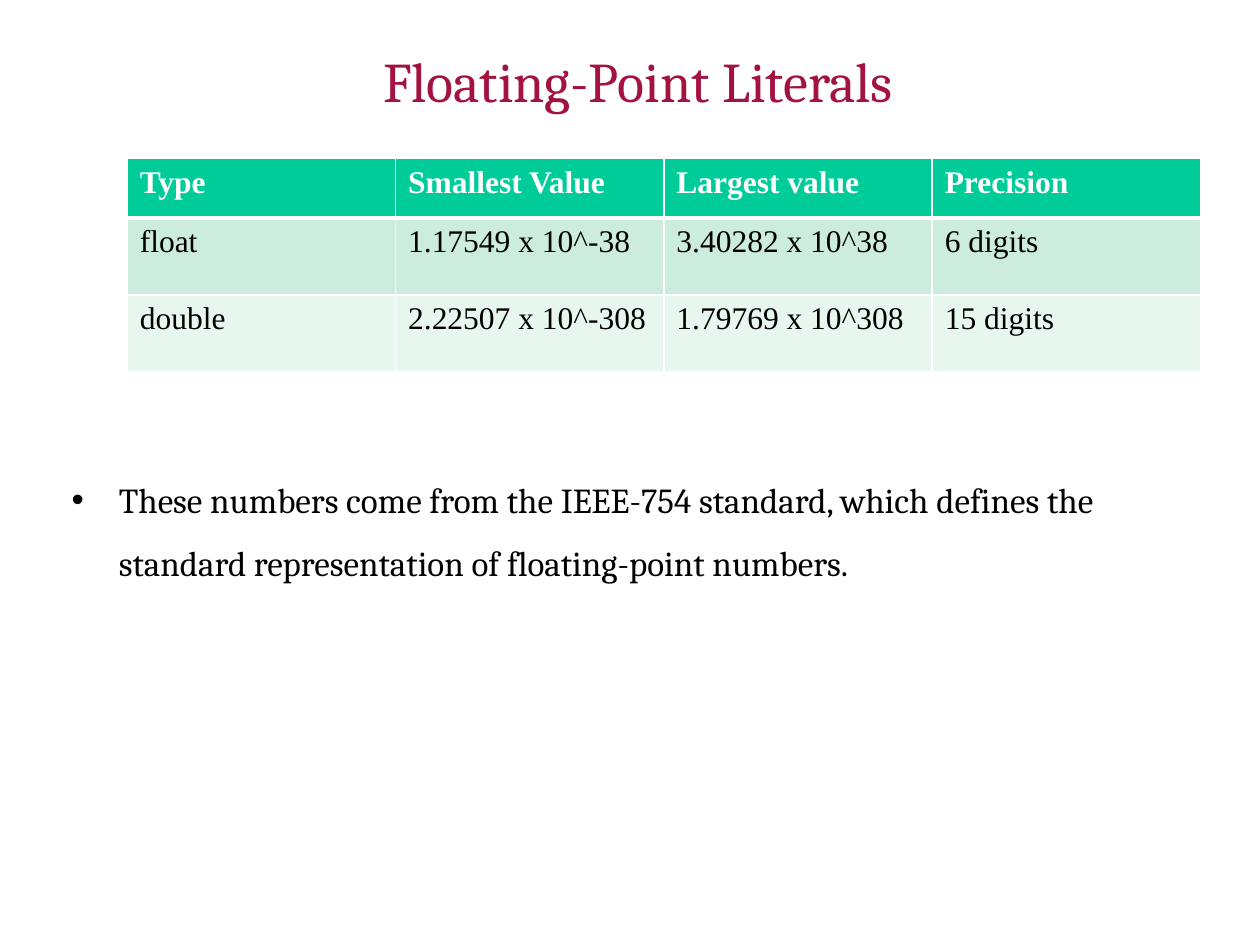
from lxml import etree
from pptx import Presentation
from pptx.dml.color import RGBColor
from pptx.enum.text import MSO_ANCHOR, PP_ALIGN
from pptx.oxml.ns import qn
from pptx.util import Pt

COLORS = {"title": "A4123F", "text": "000000", "white": "FFFFFF",
          "header": "00CC99", "odd": "CCECDE", "even": "E7F6EF"}
ROWS = [
    ("Type", "Smallest Value", "Largest value", "Precision"),
    ("float", "1.17549 x 10^-38", "3.40282 x 10^38", "6 digits"),
    ("double", "2.22507 x 10^-308", "1.79769 x 10^308", "15 digits"),
]
ROW_HEIGHTS = (33.8, 44.1, 44.1)
BULLET_INDENT = Pt(27)


def rgb(name):
    return RGBColor.from_string(COLORS[name])


def write(tf, text, size, font="Cambria", color="text", bold=False,
          align=PP_ALIGN.LEFT, spacing=None, bullet=None):
    p = tf.paragraphs[0]
    p.alignment = align
    if spacing:
        p.line_spacing = spacing
    if bullet:
        pPr = p._p.get_or_add_pPr()
        pPr.set("marL", str(BULLET_INDENT))
        pPr.set("indent", str(-BULLET_INDENT))
        etree.SubElement(pPr, qn("a:buFont"), typeface="Arial")
        etree.SubElement(pPr, qn("a:buChar"), char=bullet)
    r = p.add_run()
    r.text = text
    r.font.size, r.font.name, r.font.bold = Pt(size), font, bold
    r.font.color.rgb = rgb(color)


def add_text(slide, box, text, anchor=MSO_ANCHOR.TOP, **fmt):
    tf = slide.shapes.add_textbox(*map(Pt, box)).text_frame
    tf.word_wrap = True
    tf.vertical_anchor = anchor
    write(tf, text, **fmt)


def set_borders(cell, bottom):
    """White cell borders, 1 pt except for the given top and bottom widths."""
    tcPr = cell._tc.get_or_add_tcPr()
    widths = {"lnL": 1, "lnR": 1, "lnT": bottom[0], "lnB": bottom[1]}
    for i, (side, width) in enumerate(widths.items()):
        ln = etree.Element(qn(f"a:{side}"), w=str(Pt(width)))
        fill = etree.SubElement(ln, qn("a:solidFill"))
        etree.SubElement(fill, qn("a:srgbClr"), val=COLORS["white"])
        tcPr.insert(i, ln)


def add_limits_table(slide, box):
    left, top, width, height = box
    table = slide.shapes.add_table(len(ROWS), len(ROWS[0]),
                                   *map(Pt, box)).table
    for col in table.columns:
        col.width = Pt(width / len(ROWS[0]))
    for i, (values, fill) in enumerate(zip(ROWS, ("header", "odd", "even"))):
        table.rows[i].height = Pt(ROW_HEIGHTS[i])
        header = i == 0
        for j, value in enumerate(values):
            cell = table.cell(i, j)
            cell.fill.solid()
            cell.fill.fore_color.rgb = rgb(fill)
            set_borders(cell, (3 if i == 1 else 1, 3 if header else 1))
            write(cell.text_frame, value, 18, font="Times New Roman",
                  color="white" if header else "text", bold=header)


def main():
    prs = Presentation()
    prs.slide_width, prs.slide_height = Pt(720), Pt(540)
    slide = prs.slides.add_slide(prs.slide_layouts[6])
    add_text(slide, (33.8, 27.4, 661.7, 36.7), "Floating-Point Literals",
             anchor=MSO_ANCHOR.MIDDLE, size=32, color="title",
             align=PP_ALIGN.CENTER)
    add_limits_table(slide, (72.7, 90.7, 613.4, sum(ROW_HEIGHTS)))
    add_text(slide, (33.8, 258, 661.7, 218),
             "These numbers come from the IEEE-754 standard, which defines "
             "the standard representation of floating-point numbers.",
             size=20, spacing=1.5, bullet="•")
    prs.save("out.pptx")


if __name__ == "__main__":
    main()
